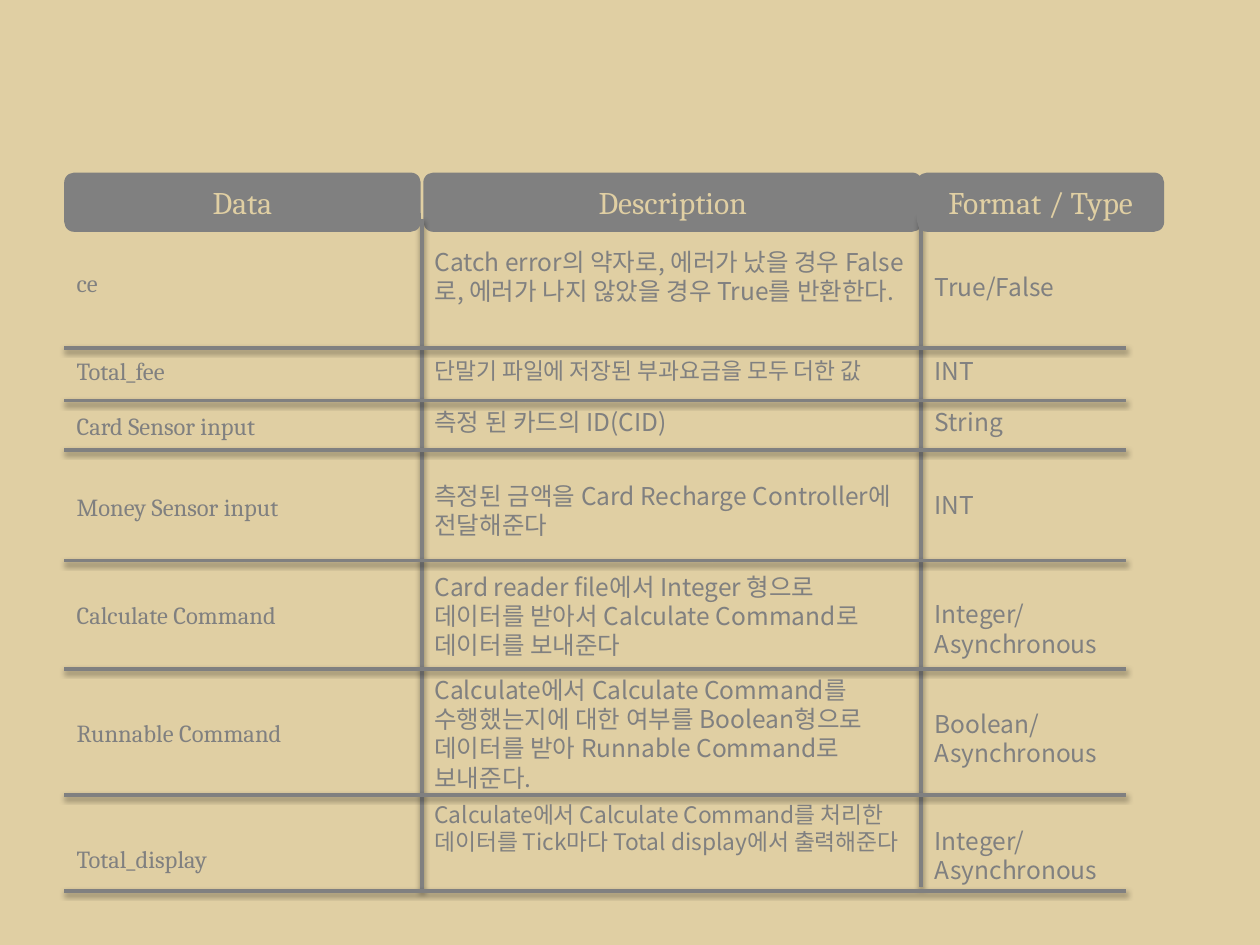
from dataclasses import dataclass
from lxml import etree
from pptx import Presentation
from pptx.dml.color import RGBColor
from pptx.enum.shapes import MSO_CONNECTOR, MSO_SHAPE
from pptx.enum.text import MSO_ANCHOR, MSO_AUTO_SIZE, PP_ALIGN
from pptx.oxml import parse_xml
from pptx.oxml.ns import qn
from pptx.util import Inches, Pt

LINE = MSO_CONNECTOR.STRAIGHT
ROUND = MSO_SHAPE.ROUNDED_RECTANGLE
MIDDLE = MSO_ANCHOR.MIDDLE
GROW = MSO_AUTO_SIZE.SHAPE_TO_FIT_TEXT
CENTER, LEFT = PP_ALIGN.CENTER, PP_ALIGN.LEFT


@dataclass(frozen=True)
class Theme:
    """Colours, fonts and type sizes of the slide."""
    sand: RGBColor = RGBColor(0xE0, 0xCF, 0xA3)
    gray: RGBColor = RGBColor(0x80, 0x80, 0x80)
    serif: str = "Cambria"
    sans: str = "Noto Sans CJK KR"
    head: int = 18
    body: int = 14
    small: int = 13
    pitch: float = 1.19


THEME = Theme()
EDGE, END = 0.51, 8.94
DATA_W, DESC_X, DESC_W, TYPE_X = 2.74, 3.35, 3.97, 7.32
HEAD_Y, HEAD_H = 1.37, 0.47
RULES = (2.76, 3.18, 3.57, 4.45, 5.31, 6.31, 7.07)
SHADOW = (
    '<a:effectLst xmlns:a="http://schemas.openxmlformats.org/drawingml/2006/main">'
    '<a:outerShdw blurRad="39370" dist="20320" dir="5400000" rotWithShape="0">'
    '<a:srgbClr val="000000"><a:alpha val="38000"/></a:srgbClr>'
    '</a:outerShdw></a:effectLst>'
)

DATA = (
    (2.08, "ce"),
    (2.78, "Total_fee"),
    (3.21, "Card Sensor input"),
    (3.86, "Money Sensor input"),
    (4.71, "Calculate Command"),
    (5.65, "Runnable Command"),
    (6.65, "Total_display"),
)
NOTES = (
    (1.91, DESC_W, 0.81, THEME.body,
     "Catch error의 약자로, 에러가 났을 경우 False로, 에러가 나지 않았을 경우 True를 반환한다."),
    (2.78, 4.17, 0.32, THEME.small, "단말기 파일에 저장된 부과요금을 모두 더한 값"),
    (3.18, DESC_W, 0.34, THEME.body, "측정 된 카드의 ID(CID)"),
    (3.77, 4.1, 0.57, THEME.body,
     "측정된 금액을 Card Recharge Controller에 전달해준다"),
    (4.49, DESC_W, 0.81, THEME.body,
     "Card reader file에서 Integer 형으로 데이터를 받아서 Calculate Command로 데이터를 보내준다"),
    (5.31, DESC_W, 1.04, THEME.body,
     "Calculate에서 Calculate Command를 수행했는지에 대한 여부를 Boolean형으로 "
     "데이터를 받아 Runnable Command로 보내준다."),
    (6.31, DESC_W, 0.76, THEME.small,
     "Calculate에서 Calculate Command를 처리한 데이터를 Tick마다 Total display에서 출력해준다"),
)
TYPES = (
    (2.11, 3.23, 0.34, "True/False"),
    (2.78, 3.23, 0.34, "INT"),
    (3.18, 3.23, 0.34, "String"),
    (3.84, 3.23, 0.34, "INT"),
    (4.71, 1.61, 0.57, "Integer/Asynchronous"),
    (5.58, 1.61, 0.57, "Boolean/Asynchronous"),
    (6.51, 1.69, 0.57, "Integer/Asynchronous"),
)


def write(frame, text, size=THEME.body, font=THEME.sans, color=THEME.gray,
          align=LEFT):
    """Put one formatted paragraph in a text frame."""
    frame.word_wrap = True
    para = frame.paragraphs[0]
    para.alignment = align
    if font == THEME.sans:
        para.line_spacing = Pt(round(size * THEME.pitch, 1))
    run = para.add_run()
    run.text = text
    run.font.size = Pt(size)
    run.font.name = font
    run.font.color.rgb = color
    east = etree.SubElement(run.font._element, qn("a:ea"))
    east.set("typeface", font)


def label(slide, left, top, width, height, text, **style):
    """Add a text box that grows with its text."""
    box = slide.shapes.add_textbox(
        Inches(left), Inches(top), Inches(width), Inches(height))
    write(box.text_frame, text, **style)
    box.text_frame.auto_size = GROW


def header(slide, left, width, text):
    """Add a rounded column header."""
    shape = slide.shapes.add_shape(
        ROUND, Inches(left), Inches(HEAD_Y), Inches(width), Inches(HEAD_H))
    shape.shadow.inherit = False
    shape.fill.solid()
    shape.fill.fore_color.rgb = THEME.gray
    shape.line.fill.background()
    shape.text_frame.vertical_anchor = MIDDLE
    write(shape.text_frame, text, size=THEME.head, font=THEME.serif,
          color=THEME.sand, align=CENTER)


def rule(slide, x1, y1, x2, y2):
    """Add a grid line with a soft shadow."""
    line = slide.shapes.add_connector(
        LINE, Inches(x1), Inches(y1), Inches(x2), Inches(y2))
    line.line.color.rgb = THEME.gray
    line.line.width = Pt(2)
    line._element.spPr.append(parse_xml(SHADOW))


def main():
    """Build the data dictionary slide."""
    deck = Presentation()
    deck.slide_width, deck.slide_height = Inches(10), Inches(7.5)
    slide = deck.slides.add_slide(deck.slide_layouts[6])
    slide.background.fill.solid()
    slide.background.fill.fore_color.rgb = THEME.sand

    header(slide, 3.36, 3.96, "Description")
    rule(slide, 7.31, 1.71, 7.31, 7.04)
    rule(slide, DESC_X, 1.74, DESC_X, 7.07)
    header(slide, EDGE, 2.83, "Data")
    header(slide, 7.28, 1.96, "Format / Type")
    for y in RULES:
        rule(slide, EDGE, y, END, y)

    for top, text in DATA:
        label(slide, EDGE, top, DATA_W, 0.34, text, font=THEME.serif)
    for top, width, height, size, text in NOTES:
        label(slide, DESC_X, top, width, height, text, size=size)
    for top, width, height, text in TYPES:
        label(slide, TYPE_X, top, width, height, text)
    deck.save("out.pptx")


if __name__ == "__main__":
    main()
